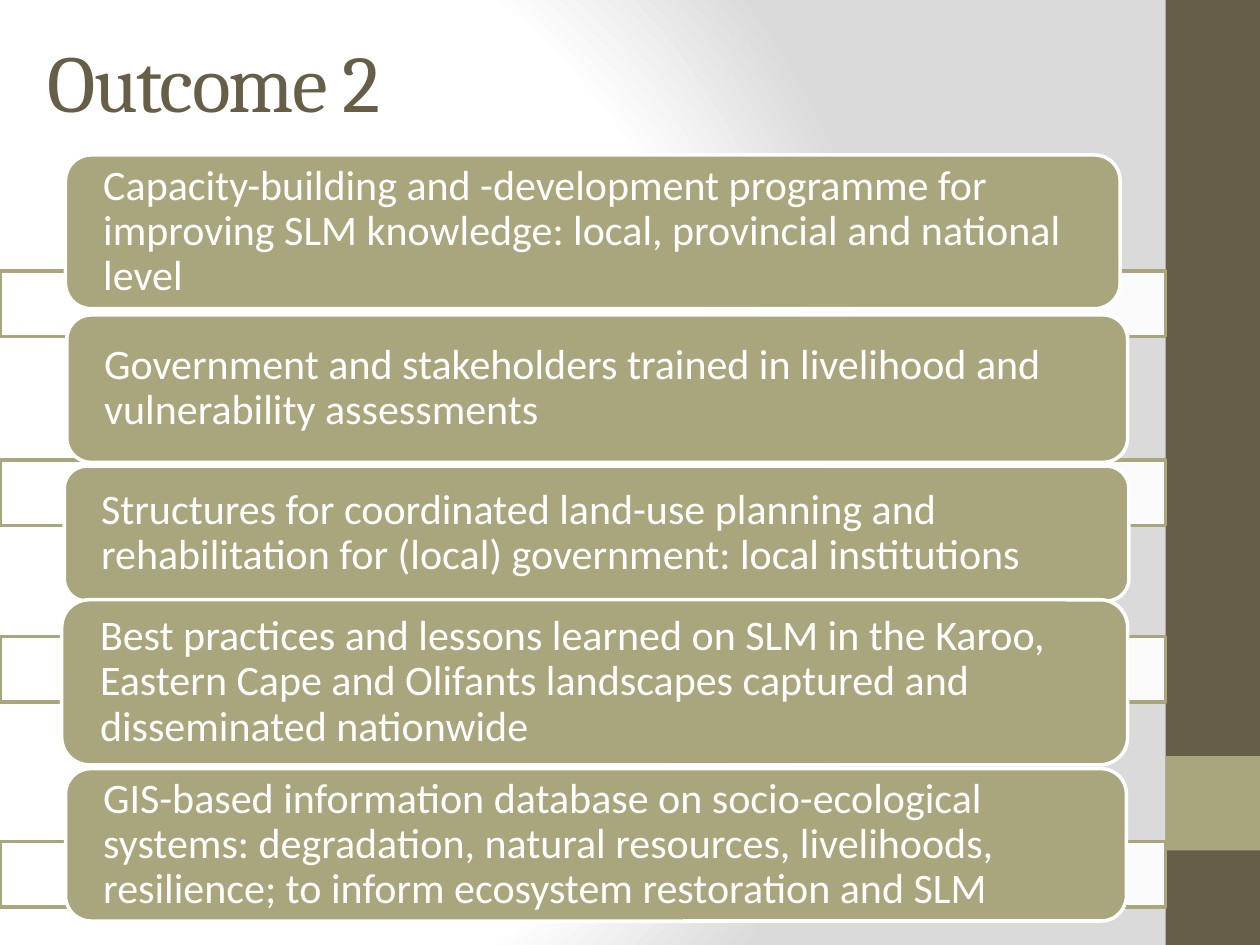
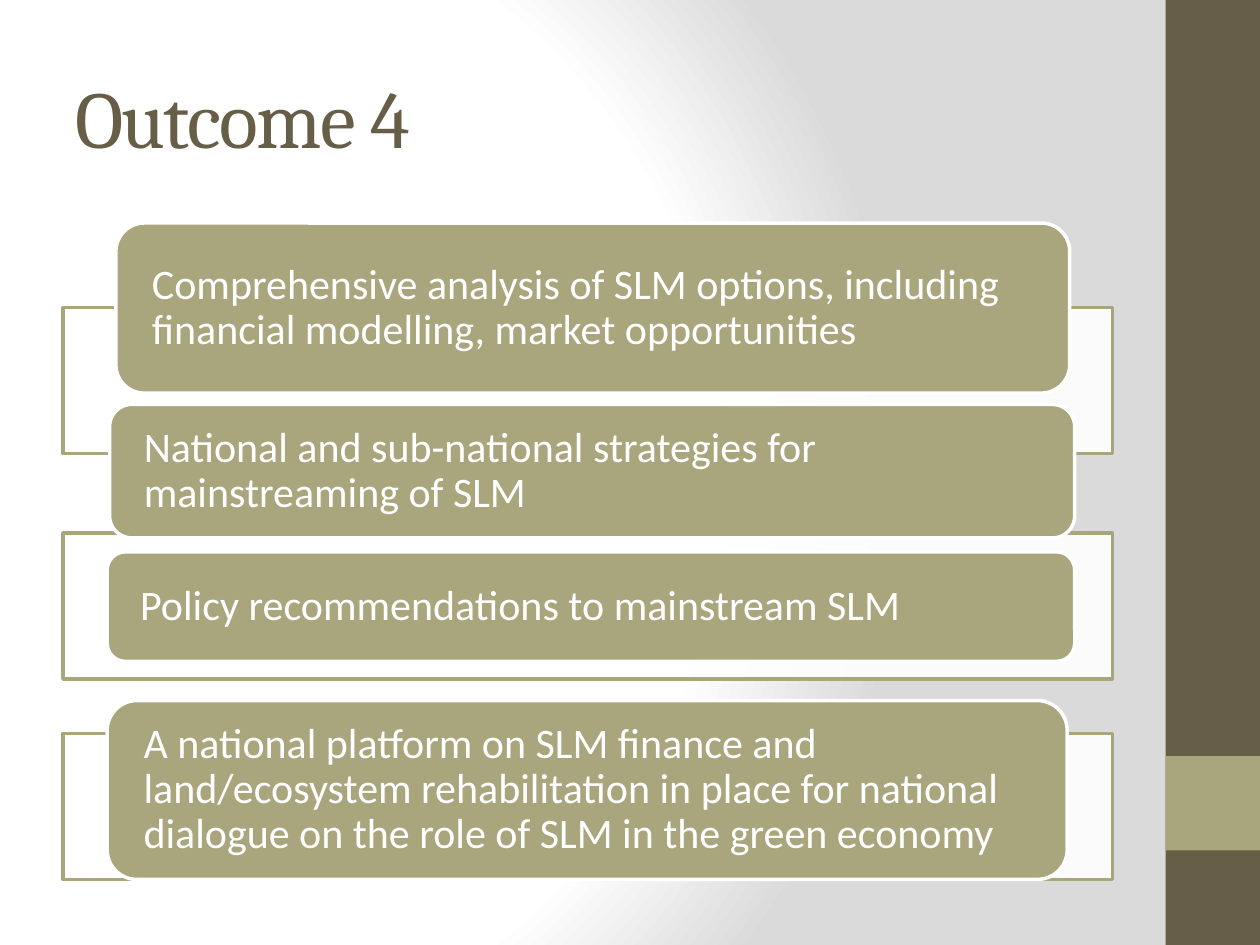
from lxml import etree
from pptx import Presentation
from pptx.dml.color import RGBColor
from pptx.enum import shapes, text
from pptx.oxml import parse_xml
from pptx.oxml.ns import qn
from pptx.util import Inches, Pt

DARK, SAGE, WHITE, GREY = "675E47", "A9A57C", "FFFFFF", "DADADA"
RECT = shapes.MSO_SHAPE.RECTANGLE
ROUND = shapes.MSO_SHAPE.ROUNDED_RECTANGLE

stops = "".join(
    f'<a:gs pos="{pos}000"><a:srgbClr val="{hue}"/></a:gs>'
    for pos, hue in [(0, WHITE), (75, WHITE), (100, GREY)])
BACK = (
    '<p:bg xmlns:p="http://schemas.openxmlformats.org/presentationml/2006/main"'
    ' xmlns:a="http://schemas.openxmlformats.org/drawingml/2006/main"><p:bgPr>'
    f'<a:gradFill rotWithShape="1"><a:gsLst>{stops}</a:gsLst><a:path path="circle">'
    '<a:fillToRect l="20000" t="50000" r="100000" b="50000"/></a:path></a:gradFill>'
    '<a:effectLst/></p:bgPr></p:bg>')

decks = [
    dict(title="Outcome 2", spot=(0.28, 0.01), left=0, wide=9.25, high=0.52, inset=0.24, rows=[
        (2.15, (0.52, 1.23, 8.37, 1.22), "Capacity-building and -development programme for "
         "improving SLM knowledge: local, provincial and national level"),
        (3.65, (0.53, 2.5, 8.42, 1.17), "Government and stakeholders trained in livelihood "
         "and vulnerability assessments"),
        (5.05, (0.51, 3.7, 8.45, 1.07), "Structures for coordinated land-use planning and "
         "rehabilitation for (local) government: local institutions"),
        (6.68, (0.49, 4.76, 8.46, 1.31), "Best practices and lessons learned on SLM in the "
         "Karoo, Eastern Cape and Olifants landscapes captured and disseminated nationwide"),
        (None, (0.52, 6.1, 8.42, 1.21), "GIS-based information database on socio-ecological "
         "systems: degradation, natural resources, livelihoods, resilience; to inform "
         "ecosystem restoration and SLM"),
    ]),
    dict(title="Outcome 4", spot=(0.5, 0.3), left=0.5, wide=8.33, high=1.16, inset=0.22, rows=[
        (2.44, (0.92, 1.77, 7.57, 1.35), "Comprehensive analysis of SLM options, including "
         "financial modelling, market opportunities"),
        (4.23, (0.87, 3.21, 7.66, 1.06), "National and sub-national strategies for "
         "mainstreaming of SLM"),
        (5.82, (0.85, 4.38, 7.68, 0.87), "Policy recommendations to mainstream SLM"),
        (None, (0.85, 5.56, 7.62, 1.42), "A national platform on SLM finance and "
         "land/ecosystem rehabilitation in place for national dialogue on the role of SLM "
         "in the green economy"),
    ]),
]


def block(slide, kind, place, fill, line=None):
    shape = slide.shapes.add_shape(kind, *map(Inches, place))
    shape.shadow.inherit = False
    shape.fill.solid()
    shape.fill.fore_color.rgb = RGBColor.from_string(fill)
    if line:
        shape.line.color.rgb = RGBColor.from_string(line)
        shape.line.width = Pt(2)
    else:
        shape.line.fill.background()
    return shape


def write(shape, words, font, size, hue):
    frame = shape.text_frame
    frame.word_wrap = True
    frame.vertical_anchor = text.MSO_ANCHOR.MIDDLE
    para = frame.paragraphs[0]
    para.alignment = text.PP_ALIGN.LEFT
    run = para.add_run()
    run.text = words
    run.font.name = font
    run.font.size = Pt(size)
    run.font.color.rgb = RGBColor.from_string(hue)
    return run


prs = Presentation()
prs.slide_width, prs.slide_height = Inches(10), Inches(7.5)

for deck in decks:
    slide = prs.slides.add_slide(prs.slide_layouts[6])
    slide.element.find(qn("p:cSld")).insert(0, parse_xml(BACK))
    block(slide, RECT, (9.25, 0, 0.75, 7.5), DARK)
    block(slide, RECT, (9.25, 6, 0.75, 0.75), SAGE)

    title = slide.shapes.add_textbox(*map(Inches, (*deck["spot"], 8.33, 1.25)))
    run = write(title, deck["title"], "Cambria", 46, DARK)
    run.font._element.set("spc", "-100")

    for top, place, words in deck["rows"]:
        if top is not None:
            bar = block(slide, RECT, (deck["left"], top, deck["wide"], deck["high"]), WHITE, SAGE)
            hue = bar.element.spPr.find(qn("a:solidFill"))[0]
            etree.SubElement(hue, qn("a:alpha")).set("val", "90000")
        card = block(slide, ROUND, place, SAGE, WHITE)
        write(card, words, "Calibri", 24, WHITE)
        frame = card.text_frame
        frame.margin_left = frame.margin_right = Inches(deck["inset"])
        frame.margin_top = frame.margin_bottom = 0
        frame.paragraphs[0].line_spacing = 0.9

prs.save("out.pptx")
